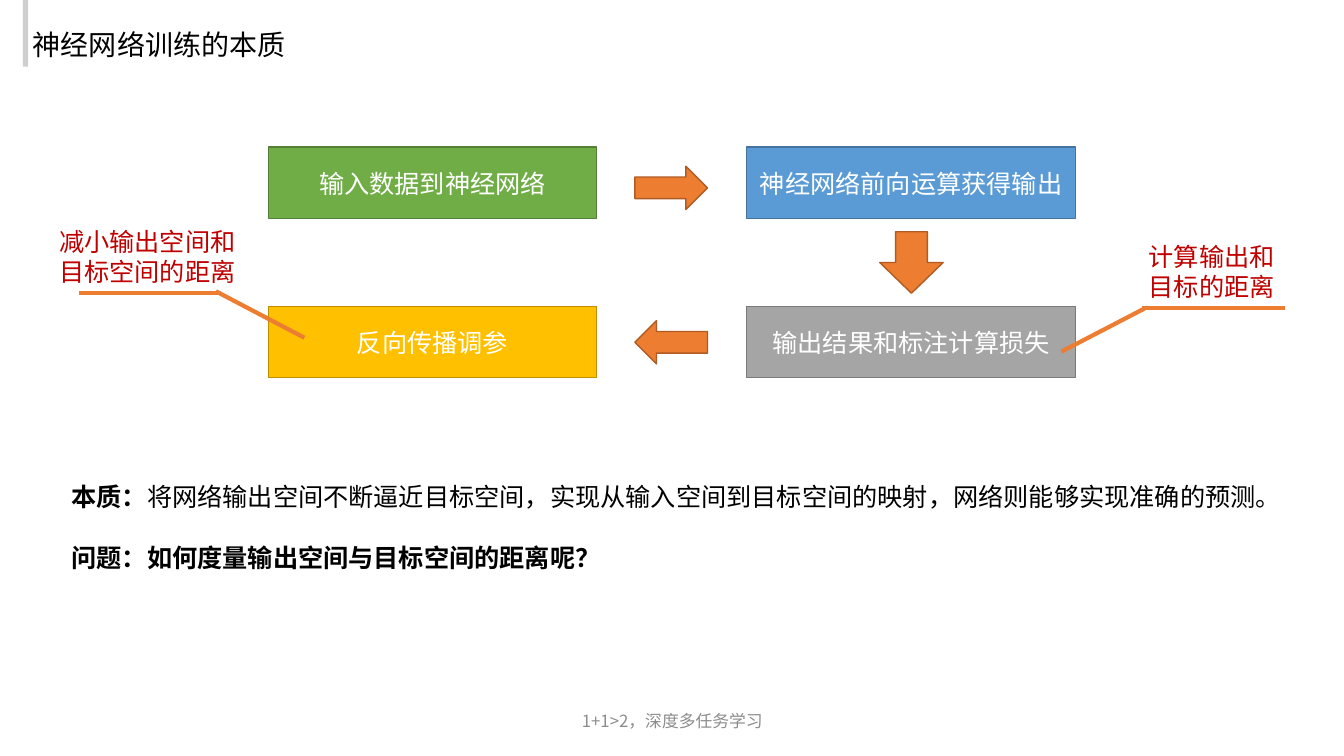
from dataclasses import dataclass

from lxml import etree
from pptx import Presentation
from pptx.dml.color import RGBColor
from pptx.enum.shapes import MSO_CONNECTOR, MSO_SHAPE
from pptx.enum.text import MSO_ANCHOR, MSO_AUTO_SIZE, PP_ALIGN
from pptx.oxml.ns import qn
from pptx.util import Cm, Pt

RECTANGLE = MSO_SHAPE.RECTANGLE
RIGHT_ARROW = MSO_SHAPE.RIGHT_ARROW
DOWN_ARROW = MSO_SHAPE.DOWN_ARROW
STRAIGHT = MSO_CONNECTOR.STRAIGHT
LEFT, CENTER = PP_ALIGN.LEFT, PP_ALIGN.CENTER
TOP, MIDDLE = MSO_ANCHOR.TOP, MSO_ANCHOR.MIDDLE


@dataclass(frozen=True)
class Theme:
    font: str = "Noto Sans CJK SC"
    title_font: str = "Noto Sans CJK JP"
    title_size: int = 20
    text_size: int = 18
    footer_size: int = 12
    line_height: float = 1.21
    text: str = "000000"
    inverse: str = "FFFFFF"
    callout: str = "C00000"
    footer: str = "8C8C8C"
    bar: str = "D0CECE"
    accent: str = "ED7D31"
    accent_edge: str = "AF5C24"
    green: str = "70AD47"
    green_edge: str = "538035"
    blue: str = "5B9BD5"
    blue_edge: str = "43739E"
    gray: str = "A5A5A5"
    gray_edge: str = "7A7A7A"
    yellow: str = "FFC000"
    yellow_edge: str = "BD8E00"


THEME = Theme()

COLUMNS = (6.76, 18.82)
ROWS = (3.71, 7.72)
STEP_SIZE = (8.28, 1.8)
# Text, column, row, fill, edge
STEPS = (
    ("输入数据到神经网络", 0, 0, THEME.green, THEME.green_edge),
    ("神经网络前向运算获得输出", 1, 0, THEME.blue, THEME.blue_edge),
    ("输出结果和标注计算损失", 1, 1, THEME.gray, THEME.gray_edge),
    ("反向传播调参", 0, 1, THEME.yellow, THEME.yellow_edge),
)
# Preset, box, rotation
ARROWS = (
    (RIGHT_ARROW, (16, 4.19, 1.83, 1.09), 0),
    (DOWN_ARROW, (22.17, 5.84, 1.6, 1.55), 0),
    (RIGHT_ARROW, (16, 8.08, 1.83, 1.09), 180),
)
# Text, text box, pointer line, underline
CALLOUTS = (
    ("计算输出和目标的距离", (28.7, 5.94, 3.89, 1.8),
     (26.75, 8.86, 28.85, 7.77), (28.78, 7.77, 32.39, 7.77)),
    ("减小输出空间和目标空间的距离", (1.24, 5.56, 5.08, 1.8),
     (7.67, 8.51, 5.44, 7.34), (1.98, 7.39, 5.56, 7.39)),
)
# Each paragraph is a list of (text, bold) runs
CONCLUSIONS = (
    (("本质：", True),
     ("将网络输出空间不断逼近目标空间，实现从输入空间到目标空间的映射，网络则能够实现准确的预测。", False)),
    (("问题：如何度量输出空间与目标空间的距离呢？", True),),
)


def in_cm(values):
    return [Cm(value) for value in values]


def place(shape, box):
    shape.left, shape.top, shape.width, shape.height = in_cm(box)


def prepare_frame(frame, anchor=TOP, wrap=True):
    frame.auto_size = MSO_AUTO_SIZE.NONE
    frame.word_wrap = wrap
    frame.vertical_anchor = anchor
    frame.margin_left = frame.margin_right = Cm(0.25)
    frame.margin_top = frame.margin_bottom = Cm(0.13)


def write_runs(paragraph, runs, color, size=THEME.text_size, font=THEME.font, align=LEFT):
    paragraph.alignment = align
    paragraph.line_spacing = Pt(round(size * THEME.line_height, 1))
    paragraph.space_before = Pt(0)
    for text, bold in runs:
        run = paragraph.add_run()
        run.text = text
        run.font.name = font
        run.font.size = Pt(size)
        run.font.bold = bold
        run.font.color.rgb = RGBColor.from_string(color)
        east_asian = etree.SubElement(run.font._element, qn("a:ea"))
        east_asian.set("typeface", font)


def add_title(slide, text):
    title = slide.shapes.title
    place(title, (0.58, 0.56, 6.93, 1.12))
    prepare_frame(title.text_frame, wrap=False)
    write_runs(title.text_frame.paragraphs[0], [(text, False)], THEME.text,
               THEME.title_size, THEME.title_font)


def add_conclusions(slide, paragraphs):
    body = slide.placeholders[1]
    place(body, (1.55, 11.99, 30.84, 2.57))
    frame = body.text_frame
    prepare_frame(frame)
    for index, runs in enumerate(paragraphs):
        paragraph = frame.add_paragraph() if index else frame.paragraphs[0]
        write_runs(paragraph, runs, THEME.text)
        if index:
            paragraph.space_before = paragraph.line_spacing
        properties = paragraph._p.get_or_add_pPr()
        properties.set("marL", "0")
        properties.set("indent", "0")
        etree.SubElement(properties, qn("a:buNone"))


def add_shape(slide, preset, box, fill, edge=None):
    shape = slide.shapes.add_shape(preset, *in_cm(box))
    shape.shadow.inherit = False
    shape.fill.solid()
    shape.fill.fore_color.rgb = RGBColor.from_string(fill)
    if edge:
        shape.line.color.rgb = RGBColor.from_string(edge)
        shape.line.width = Pt(1)
    else:
        shape.line.fill.background()
    return shape


def add_step(slide, text, column, row, fill, edge):
    box = (COLUMNS[column], ROWS[row], *STEP_SIZE)
    frame = add_shape(slide, RECTANGLE, box, fill, edge).text_frame
    prepare_frame(frame, MIDDLE)
    write_runs(frame.paragraphs[0], [(text, False)], THEME.inverse, align=CENTER)


def add_text(slide, text, box, color, size=THEME.text_size, align=LEFT, anchor=TOP):
    frame = slide.shapes.add_textbox(*in_cm(box)).text_frame
    prepare_frame(frame, anchor)
    write_runs(frame.paragraphs[0], [(text, False)], color, size, align=align)


def add_line(slide, ends):
    line = slide.shapes.add_connector(STRAIGHT, *in_cm(ends))
    line.line.color.rgb = RGBColor.from_string(THEME.accent)
    line.line.width = Pt(3)
    etree.SubElement(line._element.spPr, qn("a:effectLst"))


def add_callout(slide, text, box, pointer, underline):
    add_line(slide, pointer)
    add_line(slide, underline)
    add_text(slide, text, box, THEME.callout)


def main():
    presentation = Presentation()
    presentation.slide_width, presentation.slide_height = Cm(33.87), Cm(19.05)
    slide = presentation.slides.add_slide(presentation.slide_layouts[1])

    add_title(slide, "神经网络训练的本质")
    add_shape(slide, RECTANGLE, (0.58, 0, 0.13, 1.68), THEME.bar)
    for step in STEPS:
        add_step(slide, *step)
    for preset, box, rotation in ARROWS:
        arrow = add_shape(slide, preset, box, THEME.accent, THEME.accent_edge)
        arrow.rotation = rotation
    add_conclusions(slide, CONCLUSIONS)
    for callout in CALLOUTS:
        add_callout(slide, *callout)
    add_text(slide, "1+1>2，深度多任务学习", (11.23, 17.65, 11.43, 1.02),
             THEME.footer, THEME.footer_size, CENTER, MIDDLE)

    presentation.save("out.pptx")


if __name__ == "__main__":
    main()
